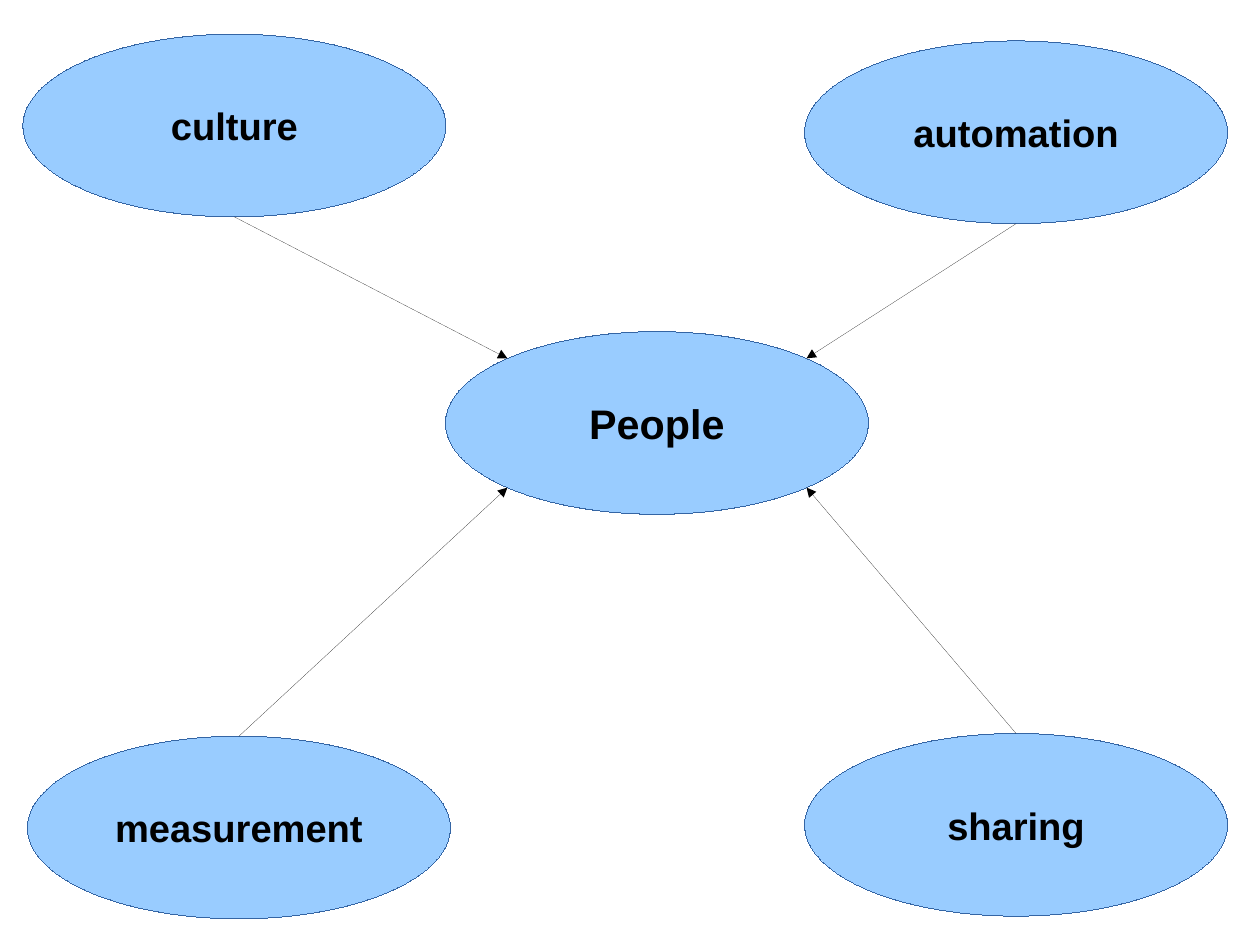
import math

from lxml import etree
from pptx import Presentation
from pptx import util as u
from pptx.dml.color import RGBColor
from pptx.enum import shapes, text
from pptx.oxml import ns

PX = 3600  # EMU per px, 100 px to the centimetre
SLIDE_WIDTH, SLIDE_HEIGHT = 2800, 2100
OVAL_WIDTH, OVAL_HEIGHT = 940, 406

LIGHT_BLUE = RGBColor(0x99, 0xCC, 0xFF)
OUTLINE_BLUE = RGBColor(0x34, 0x65, 0xA4)
BLACK = RGBColor(0, 0, 0)

PEOPLE = (990, 737)
TOPICS = {
    "culture": (51, 76),
    "automation": (1788, 91),
    "measurement": (61, 1636),
    "sharing": (1788, 1630),
}


def px(*lengths):
    return [u.Emu(round(length * PX)) for length in lengths]


def set_hairline(line, color):
    line.color.rgb = color
    outline = line._get_or_add_ln()
    outline.set("w", "0")  # the width property drops a zero
    return outline


def add_oval(slide, corner, label, size):
    oval = slide.shapes.add_shape(
        shapes.MSO_SHAPE.OVAL, *px(*corner, OVAL_WIDTH, OVAL_HEIGHT))
    oval.shadow.inherit = False
    oval.fill.solid()
    oval.fill.fore_color.rgb = LIGHT_BLUE
    set_hairline(oval.line, OUTLINE_BLUE)

    frame = oval.text_frame
    frame.word_wrap = False
    frame.vertical_anchor = text.MSO_ANCHOR.MIDDLE
    paragraph = frame.paragraphs[0]
    paragraph.alignment = text.PP_ALIGN.CENTER
    run = paragraph.add_run()
    run.text = label
    font_format = {"name": "Arial", "size": u.Pt(size), "bold": True}
    for name, value in font_format.items():
        setattr(run.font, name, value)
    run.font.color.rgb = BLACK


def add_arrow(slide, start, end):
    arrow = slide.shapes.add_connector(
        shapes.MSO_CONNECTOR.STRAIGHT, *px(*start, *end))
    outline = set_hairline(arrow.line, BLACK)
    etree.SubElement(outline, ns.qn("a:tailEnd"), type="triangle")
    etree.SubElement(arrow._element.spPr, ns.qn("a:effectLst"))


def center(corner):
    return corner[0] + OVAL_WIDTH / 2, corner[1] + OVAL_HEIGHT / 2


def add_topic(slide, corner, label, hub):
    """A topic oval with an arrow to the nearest diagonal point of the hub."""
    add_oval(slide, corner, label, 24)
    x, y = center(corner)
    hub_x, hub_y = center(hub)
    side_x = math.copysign(1, x - hub_x)
    side_y = math.copysign(1, y - hub_y)
    start = (x, y - side_y * OVAL_HEIGHT / 2)
    end = (hub_x + side_x * OVAL_WIDTH / 2 * math.sqrt(0.5),
           hub_y + side_y * OVAL_HEIGHT / 2 * math.sqrt(0.5))
    add_arrow(slide, start, end)


def main():
    presentation = Presentation()
    presentation.slide_width, presentation.slide_height = px(SLIDE_WIDTH, SLIDE_HEIGHT)
    slide = presentation.slides.add_slide(presentation.slide_layouts[6])

    # Hub
    add_oval(slide, PEOPLE, "People", 26)

    # Topics around the hub
    for label, corner in TOPICS.items():
        add_topic(slide, corner, label, PEOPLE)

    presentation.save("out.pptx")


if __name__ == "__main__":
    main()
